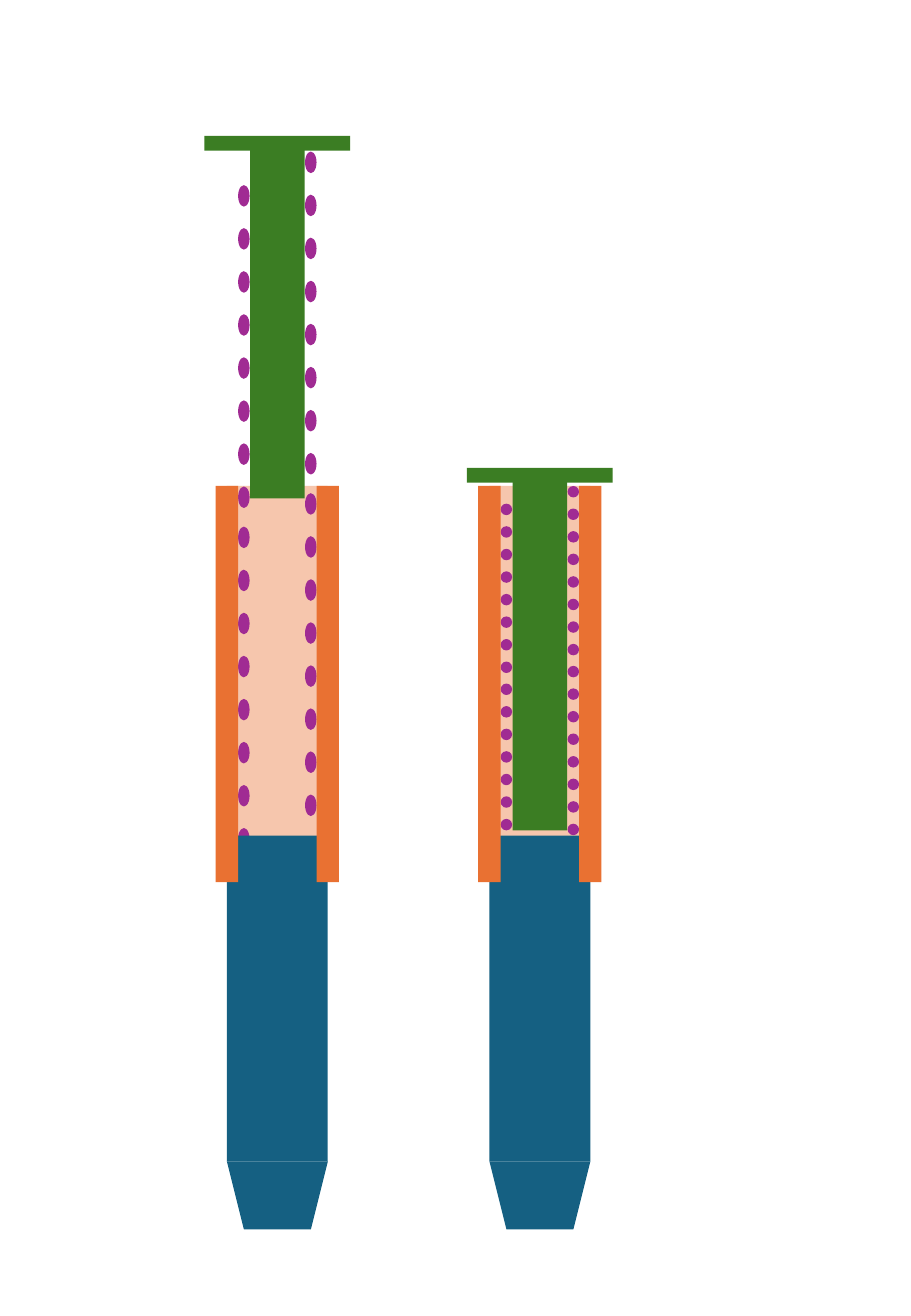
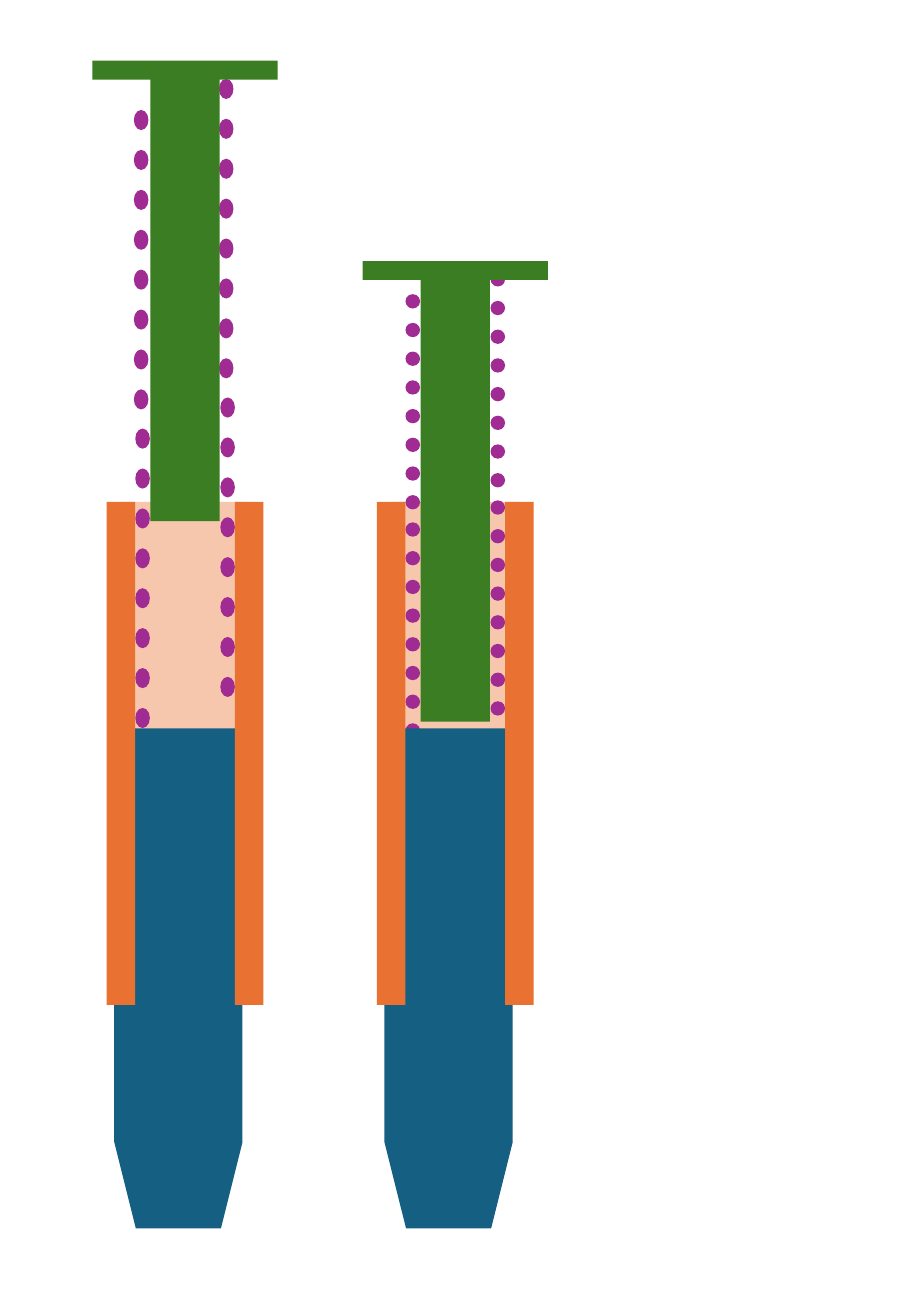
from dataclasses import dataclass

from pptx import Presentation
from pptx.dml.color import RGBColor
from pptx.enum import shapes as kinds
from pptx.util import Cm

SHAPE = kinds.MSO_SHAPE


@dataclass(frozen=True)
class Theme:
    bore: str = "F6C6AD"
    sleeve: str = "E97132"
    barrel: str = "156082"
    plunger: str = "3B7D23"
    spring: str = "A02B93"


THEME = Theme()
COILS_PER_SIDE = 8

# Part sizes in cm at scale 1
BARREL_W, BARREL_H = 2.11, 6.81
SLEEVE_W, SLEEVE_H = 0.47, 8.28
FLANGE_W, FLANGE_H = 3.05, 0.31
STEM_W, STEM_H = 1.14, 7.39
TIP_H = 1.42
COIL_W, COIL_RADIUS = 0.24, 0.7


@dataclass(frozen=True)
class Spring:
    """Two coil sections; lengths in cm, tops measured from the pen's top."""
    tops: tuple
    run: float          # first to last coil on one side
    stagger: float      # left side below right side
    coil_h: float
    shifts: tuple = (0, 0)


@dataclass(frozen=True)
class Pen:
    """Box of a pen in cm, with its spring."""
    axis: float
    top: float
    bottom: float
    spring: Spring


@dataclass(frozen=True)
class Design:
    """What the pens on one slide have in common."""
    scale: float
    sleeve_rise: float  # sleeve top above the pen's bottom
    barrel_shift: float


def add_part(shapes, kind, color, center, top, width, height):
    part = shapes.add_shape(kind, Cm(center - width / 2), Cm(top), Cm(width), Cm(height))
    part.shadow.inherit = False
    part.fill.solid()
    part.fill.fore_color.rgb = RGBColor.from_string(color)
    part.line.fill.background()
    return part


def add_spring(shapes, pen, scale):
    spring = pen.spring
    pitch = spring.run / (COILS_PER_SIDE - 1)
    for section_top, shift in zip(spring.tops, spring.shifts):
        section = shapes.add_group_shape().shapes
        for row in range(COILS_PER_SIDE):
            for side, drop in ((1, 0), (-1, spring.stagger)):
                add_part(section, SHAPE.OVAL, THEME.spring,
                         pen.axis + shift + side * COIL_RADIUS * scale,
                         pen.top + section_top + row * pitch + drop,
                         COIL_W * scale, spring.coil_h)


def add_plunger(shapes, axis, top, scale):
    for offset, width, height in ((0, FLANGE_W, FLANGE_H), (0.19, STEM_W, STEM_H)):
        add_part(shapes, SHAPE.RECTANGLE, THEME.plunger, axis,
                 top + offset * scale, width * scale, height * scale)


def add_pen(shapes, pen, design):
    scale = design.scale
    barrel_w, barrel_h, tip_h = (size * scale for size in (BARREL_W, BARREL_H, TIP_H))
    sleeve_top = pen.bottom - design.sleeve_rise
    tip_top = pen.bottom - tip_h
    barrel_axis = pen.axis + design.barrel_shift

    # Bore with the spring inside
    add_part(shapes, SHAPE.RECTANGLE, THEME.bore, pen.axis, sleeve_top,
             barrel_w, SLEEVE_H * scale)
    add_spring(shapes, pen, scale)

    # Barrel and the sleeve walls around it
    add_part(shapes, SHAPE.RECTANGLE, THEME.barrel, barrel_axis,
             tip_top - barrel_h, barrel_w, barrel_h)
    for side in (-1, 1):
        add_part(shapes, SHAPE.RECTANGLE, THEME.sleeve, pen.axis + side * barrel_w / 2,
                 sleeve_top, SLEEVE_W * scale, SLEEVE_H * scale)

    # Plunger and tip
    add_plunger(shapes, pen.axis, pen.top, scale)
    tip = add_part(shapes, SHAPE.TRAPEZOID, THEME.barrel, barrel_axis,
                   tip_top, barrel_w, tip_h)
    tip.rotation = 180


def add_pen_slide(deck, design, pens):
    slide = deck.slides.add_slide(deck.slide_layouts[6])
    for pen in pens:
        add_pen(slide.shapes, pen, design)


def main():
    deck = Presentation()
    deck.slide_width, deck.slide_height = Cm(19.05), Cm(27.51)

    # Short barrel seat: full plunger travel
    add_pen_slide(deck, Design(1, 15.54, 0), (
        Pen(5.8, 2.84, 25.7, Spring((0.33, 7.47), 6.3, 0.7, 0.45)),
        Pen(11.29, 9.78, 25.7, Spring((0.38, 4.14), 3.3, 0.37, 0.24)),
    ))

    # Deep barrel seat: partial plunger travel
    add_pen_slide(deck, Design(1.27, 15.19, -0.14), (
        Pen(9.52, 5.46, 25.68, Spring((0.23, 5), 4.2, 0.46, 0.3)),
        Pen(3.87, 1.27, 25.68, Spring((0.38, 7.04), 5.84, 0.65, 0.42, (-0.03, 0))),
    ))

    deck.save("out.pptx")


if __name__ == "__main__":
    main()
